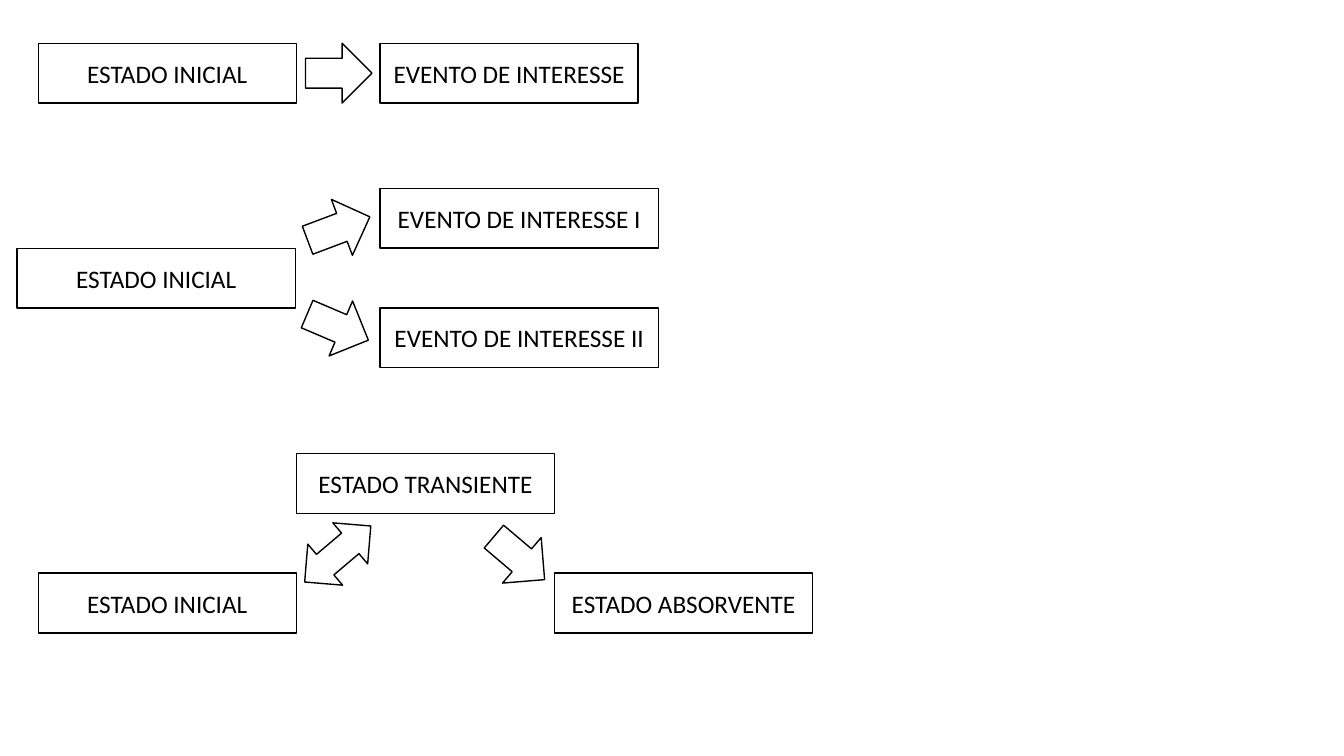
"""Three state diagrams: single event, competing events and transient state."""
from dataclasses import dataclass

import pptx
import pptx.dml.color
import pptx.enum.shapes
import pptx.enum.text
import pptx.shapes.autoshape
import pptx.shapes.shapetree
import pptx.util

BLACK = pptx.dml.color.RGBColor(0x00, 0x00, 0x00)
WHITE = pptx.dml.color.RGBColor(0xFF, 0xFF, 0xFF)
KINDS = pptx.enum.shapes.MSO_SHAPE

ROW = 0.593  # height of a state box, in inches


@dataclass(frozen=True)
class State:
    """A labelled box placed by column and row of its diagram."""
    label: str
    column: int
    row: int


@dataclass(frozen=True)
class Transition:
    """A block arrow: inches from the diagram's left, rows from its top."""
    offset: float
    row: float
    rotation: float = 0
    kind: KINDS = KINDS.RIGHT_ARROW
    width: float = 0.66
    rows: float = 1


@dataclass(frozen=True)
class Diagram:
    """A grid of equal boxes, with a gap between columns, and its arrows."""
    left: float
    top: float
    box_width: float
    gap: float
    states: tuple[State, ...]
    transitions: tuple[Transition, ...]


DIAGRAMS = (
    Diagram(0.38, 0.43, 2.56, 0.83,
            (State("ESTADO INICIAL", 0, 0),
             State("EVENTO DE INTERESSE", 1, 0)),
            (Transition(2.65, 0),)),
    Diagram(0.17, 1.87, 2.76, 0.84,
            (State("ESTADO INICIAL", 0, 1),
             State("EVENTO DE INTERESSE I", 1, 0),
             State("EVENTO DE INTERESSE II", 1, 2)),
            (Transition(2.86, 0.17, -20.6),
             Transition(2.85, 1.82, 23.1))),
    Diagram(0.38, 4.5, 2.56, 0,
            (State("ESTADO INICIAL", 0, 2),
             State("ESTADO TRANSIENTE", 1, 0),
             State("ESTADO ABSORVENTE", 2, 2)),
            (Transition(4.44, 1.25, 40.3),
             Transition(2.54, 1.23, -40.3, KINDS.LEFT_RIGHT_ARROW, 0.86, 0.9))),
)


def add_outlined(shapes: pptx.shapes.shapetree.GroupShapes, kind: KINDS,
                 left: float, top: float, width: float,
                 height: float) -> pptx.shapes.autoshape.Shape:
    """Add a white shape with a thin black outline, measured in inches."""
    lengths = map(pptx.util.Inches, (left, top, width, height))
    shape = shapes.add_shape(kind, *lengths)
    shape.shadow.inherit = False
    shape.fill.solid()
    shape.fill.fore_color.rgb = WHITE
    shape.line.color.rgb = BLACK
    shape.line.width = pptx.util.Pt(1)
    return shape


def draw_state(shapes: pptx.shapes.shapetree.GroupShapes,
               diagram: Diagram, state: State) -> None:
    """Draw one state box with its centred label."""
    left = diagram.left + state.column * (diagram.box_width + diagram.gap)
    box = add_outlined(shapes, KINDS.RECTANGLE, left,
                       diagram.top + state.row * ROW, diagram.box_width, ROW)
    box.text_frame.vertical_anchor = pptx.enum.text.MSO_ANCHOR.MIDDLE
    para = box.text_frame.paragraphs[0]
    para.text = state.label
    para.alignment = pptx.enum.text.PP_ALIGN.CENTER
    para.font.name = "Calibri"
    para.font.size = pptx.util.Pt(18)
    para.font.color.rgb = BLACK


def draw_transition(shapes: pptx.shapes.shapetree.GroupShapes,
                    diagram: Diagram, transition: Transition) -> None:
    """Draw one block arrow between states."""
    arrow = add_outlined(shapes, transition.kind,
                         diagram.left + transition.offset,
                         diagram.top + transition.row * ROW,
                         transition.width, transition.rows * ROW)
    arrow.rotation = transition.rotation


def main() -> None:
    """Build the page, one group for each diagram."""
    deck = pptx.Presentation()
    deck.slide_width = pptx.util.Inches(13.33)
    deck.slide_height = pptx.util.Inches(7.5)
    page = deck.slides.add_slide(deck.slide_layouts[6])
    for diagram in DIAGRAMS:
        shapes = page.shapes.add_group_shape().shapes
        for state in diagram.states:
            draw_state(shapes, diagram, state)
        for transition in diagram.transitions:
            draw_transition(shapes, diagram, transition)
    deck.save("out.pptx")


main()
